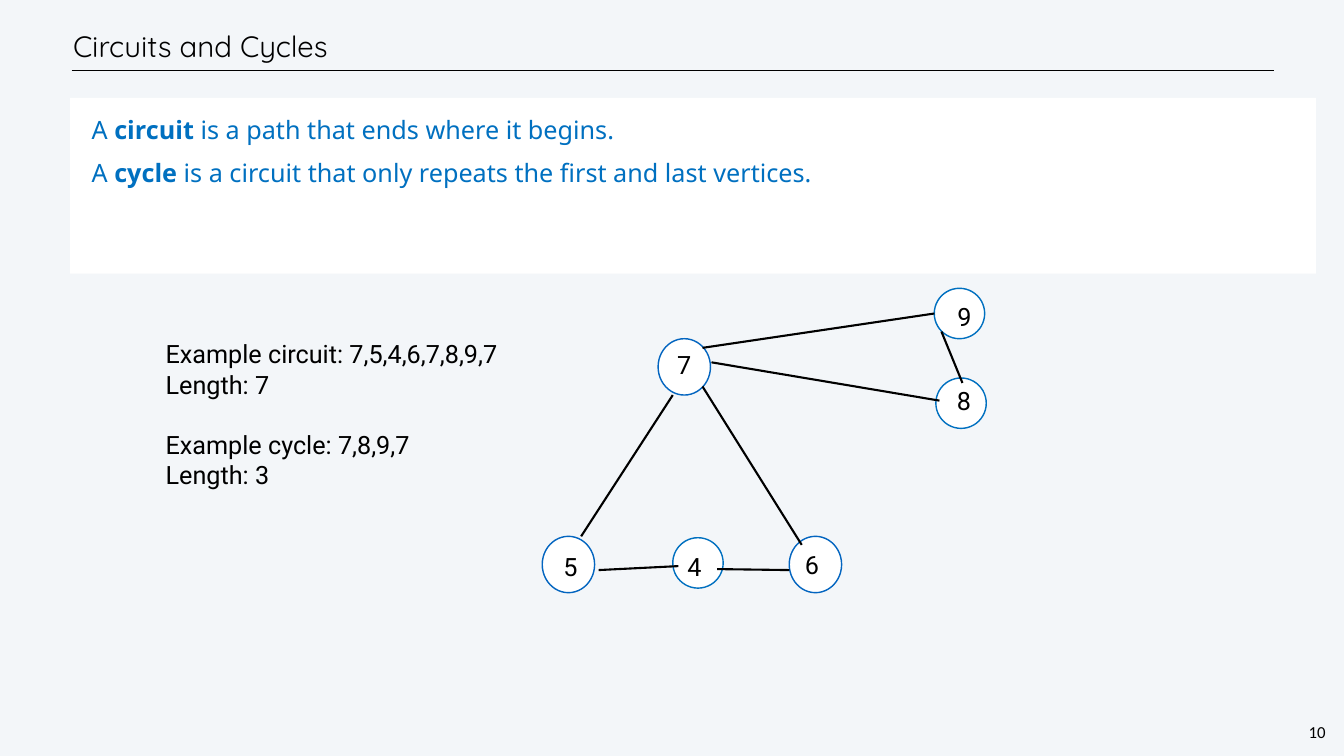
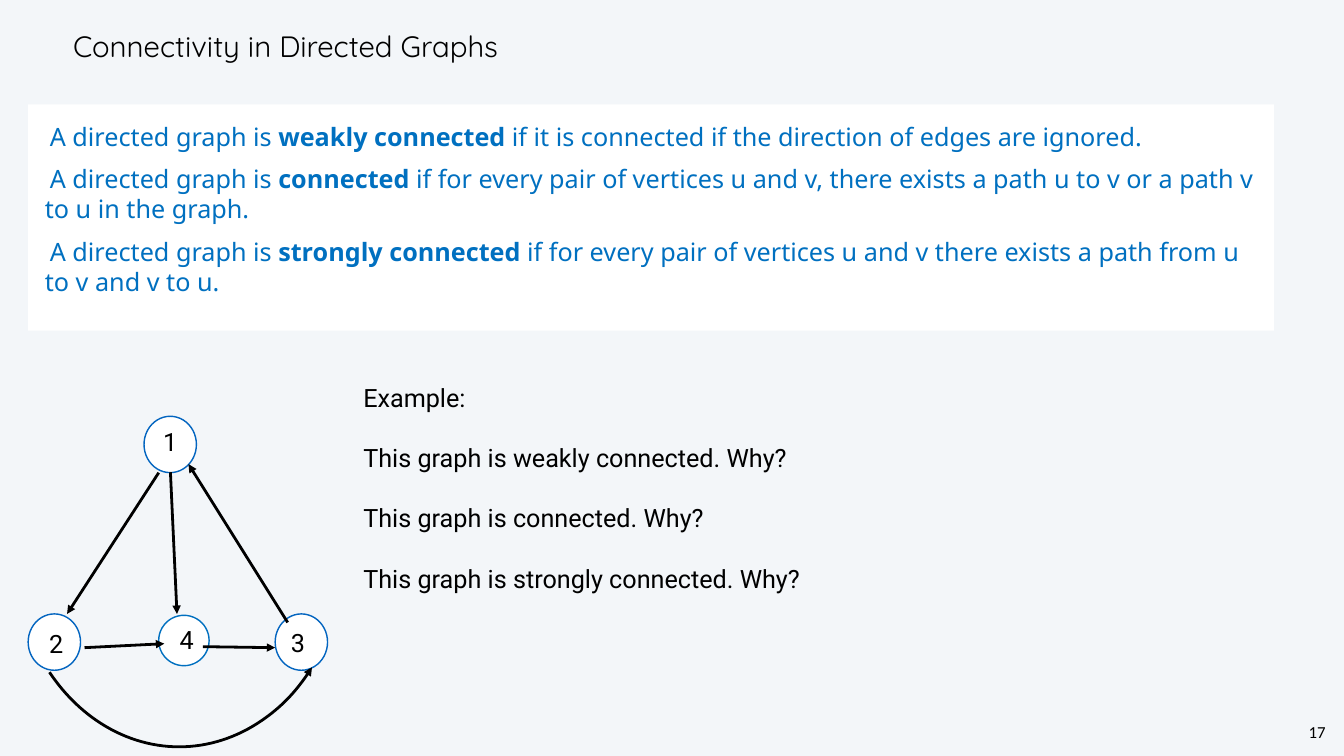
from dataclasses import dataclass

from lxml import etree
from pptx import Presentation
from pptx.dml.color import RGBColor
from pptx.enum.shapes import MSO_CONNECTOR, MSO_SHAPE
from pptx.enum.text import MSO_ANCHOR, MSO_AUTO_SIZE, PP_ALIGN
from pptx.oxml.ns import qn
from pptx.util import Cm, Pt

STRAIGHT = MSO_CONNECTOR.STRAIGHT
OVAL, ARC = MSO_SHAPE.OVAL, MSO_SHAPE.ARC
TOP, MIDDLE = MSO_ANCHOR.TOP, MSO_ANCHOR.MIDDLE
NO_FIT, GROW = MSO_AUTO_SIZE.NONE, MSO_AUTO_SIZE.SHAPE_TO_FIT_TEXT
LEFT, CENTER = PP_ALIGN.LEFT, PP_ALIGN.CENTER

# Shared look
PAPER, WHITE, BLACK = "F3F6F9", "FFFFFF", "000000"
BLUE, RING_BLUE = "0070C0", "0365C0"
TITLE_FONT, BODY_FONT, TEXT_FONT, NUMBER_FONT = "Quicksand", "Noto Sans", "Roboto", "Calibri"
TEXT_SIZE = 36
BLANK_LINE = 43  # points between separate statements


@dataclass(frozen=True)
class Box:
    left: float
    top: float
    width: float
    height: float


@dataclass(frozen=True)
class Node:
    label: str
    left: float
    top: float
    label_dx: float
    label_dy: float
    width: float = 2.54
    height: float = 2.54
    ring: str = BLUE


@dataclass(frozen=True)
class Edge:
    x1: float
    y1: float
    x2: float
    y2: float


@dataclass(frozen=True)
class Span:
    text: str
    bold: bool = False


@dataclass(frozen=True)
class Line:
    text: str
    space_before: float = 0


TITLE_BOX = Box(3.53, 1.07, 57.45, 2.51)
NUMBER_BOX = Box(65.84, 36.3, 1.09, 1.19)

# Triangle edges, measured from the triangle's corner
TRIANGLE_EDGES = [
    Edge(6.58, 2.84, 1.96, 9.96),
    Edge(13.08, 10.39, 8.08, 2.41),
    Edge(2.84, 11.66, 6.86, 11.46),
    Edge(8.81, 11.61, 12.45, 11.66),
]


def color(value: str) -> RGBColor:
    return RGBColor.from_string(value)


def place(shape, box: Box) -> None:
    shape.left, shape.top = Cm(box.left), Cm(box.top)
    shape.width, shape.height = Cm(box.width), Cm(box.height)


def set_frame(shape, inset: float, anchor, fit, wrap: bool = True):
    frame = shape.text_frame
    frame.margin_left = frame.margin_right = Cm(inset)
    frame.margin_top = frame.margin_bottom = Cm(inset)
    frame.vertical_anchor = anchor
    frame.auto_size = fit
    frame.word_wrap = wrap
    return frame


def next_para(frame, index: int):
    return frame.paragraphs[0] if index == 0 else frame.add_paragraph()


def add_span(para, text: str, font: str, size: float, ink: str = BLACK, bold: bool = False) -> None:
    span = para.add_run()
    span.text = text
    span.font.name, span.font.size, span.font.bold = font, Pt(size), bold
    span.font.color.rgb = color(ink)


def add_text(page, box: Box, lines: list[Line], wrap: bool = True) -> None:
    shape = page.shapes.add_textbox(0, 0, 0, 0)
    place(shape, box)
    frame = set_frame(shape, 0.15, MIDDLE, GROW, wrap)
    for index, line in enumerate(lines):
        para = next_para(frame, index)
        para.space_before = Pt(line.space_before)
        add_span(para, line.text, TEXT_FONT, TEXT_SIZE)


def style_line(line, width: float, ink: str = BLACK, arrow: str = "") -> None:
    """Arrow is empty, "headEnd" or "tailEnd"."""
    line.width = Pt(width)
    line.color.rgb = color(ink)
    if arrow:
        etree.SubElement(line._get_or_add_ln(), qn(f"a:{arrow}"), type="triangle")


def add_edge(page, edge: Edge, width: float, arrow: str = "") -> None:
    connector = page.shapes.add_connector(
        STRAIGHT, Cm(edge.x1), Cm(edge.y1), Cm(edge.x2), Cm(edge.y2))
    style_line(connector.line, width, arrow=arrow)
    etree.SubElement(connector._element.spPr, qn("a:effectLst"))


def add_node(page, node: Node) -> None:
    circle = page.shapes.add_shape(OVAL, 0, 0, 0, 0)
    place(circle, Box(node.left, node.top, node.width, node.height))
    circle.shadow.inherit = False
    circle.fill.solid()
    circle.fill.fore_color.rgb = color(WHITE)
    style_line(circle.line, 2, node.ring)
    label_box = Box(node.left + node.label_dx, node.top + node.label_dy, 2.74, 1.83)
    add_text(page, label_box, [Line(node.label)])


def add_triangle(page, left: float, top: float, labels: str, middle_shift: tuple[float, float],
                 edge_width: float, arrow: str = "") -> None:
    """Labels name the top, left, right and middle vertices."""
    apex, west, east, middle = labels
    corners = [(apex, 5.84, 0, 0.81, 0.36), (west, 0, 9.96, 0.91, 0.58),
               (east, 12.45, 9.96, 0.64, 0.51)]
    for label, x, y, dx, dy in corners:
        add_node(page, Node(label, left + x, top + y, dx, dy, 2.64, 2.84, RING_BLUE))
    add_node(page, Node(middle, left + 6.58, top + 10.03, *middle_shift))
    for edge in TRIANGLE_EDGES:
        moved = Edge(left + edge.x1, top + edge.y1, left + edge.x2, top + edge.y2)
        add_edge(page, moved, edge_width, arrow)


def add_page(deck, title: str, number: int, body_box: Box, definitions: list[list[Span]]):
    page = deck.slides.add_slide(deck.slide_layouts[1])

    # Title
    heading = page.shapes.title
    place(heading, TITLE_BOX)
    para = set_frame(heading, 0.15, MIDDLE, NO_FIT).paragraphs[0]
    para.alignment, para.line_spacing, para.space_before = LEFT, Pt(50), Pt(3)
    add_span(para, title, TITLE_FONT, 42)

    # Definitions on a white panel
    body = page.placeholders[1]
    place(body, body_box)
    body.fill.solid()
    body.fill.fore_color.rgb = color(WHITE)
    frame = set_frame(body, 0.84, TOP, NO_FIT)
    for index, spans in enumerate(definitions):
        para = next_para(frame, index)
        para.alignment, para.line_spacing, para.space_before = LEFT, Pt(43), Pt(18)
        properties = para._p.get_or_add_pPr()
        properties.set("marL", "0")
        properties.set("indent", str(Cm(0.25)))
        etree.SubElement(properties, qn("a:buNone"))
        for span in spans:
            add_span(para, span.text, BODY_FONT, TEXT_SIZE, BLUE, span.bold)

    # Page number
    corner = page.shapes.add_textbox(0, 0, 0, 0)
    place(corner, NUMBER_BOX)
    para = set_frame(corner, 0.1, TOP, GROW, wrap=False).paragraphs[0]
    para.alignment, para.line_spacing = CENTER, Pt(28)
    add_span(para, str(number), NUMBER_FONT, 24)
    return page


def build_circuits(deck) -> None:
    page = add_page(deck, "Circuits and Cycles", 10, Box(3.53, 4.93, 62.79, 8.86), [
        [Span("A "), Span("circuit", True), Span(" is a path that ends where it begins.")],
        [Span("A "), Span("cycle", True),
         Span(" is a circuit that only repeats the first and last vertices.")],
    ])
    add_edge(page, Edge(3.61, 3.56, 64.19, 3.56), 1)
    add_text(page, Box(8.2, 16.89, 17.88, 7.98), [
        Line("Example circuit: 7,5,4,6,7,8,9,7"),
        Line("Length: 7"),
        Line("Example cycle: 7,8,9,7", BLANK_LINE),
        Line("Length: 3"),
    ], wrap=False)

    # Graph: triangle plus the loop through 8 and 9
    add_triangle(page, 27.33, 17.07, "7564", (0.58, 0.51), 3)
    add_node(page, Node("8", 47.17, 19.05, 0.91, 0.23))
    add_node(page, Node("9", 47.09, 14.53, 1.02, 0.48))
    for edge in (Edge(47.35, 20.19, 35.86, 18.26), Edge(47.09, 15.8, 35.41, 17.53),
                 Edge(47.45, 16.71, 48.51, 19.3)):
        add_edge(page, edge, 3)


def build_connectivity(deck) -> None:
    opening = Span("A directed graph is ")
    page = add_page(deck, "Connectivity in Directed Graphs", 17, Box(1.42, 5.26, 62.79, 11.4), [
        [opening, Span("weakly connected ", True),
         Span("if it is connected if the direction of edges are ignored.")],
        [opening, Span("connected", True),
         Span(" if for every pair of vertices u and v, there exists a path u to v"
              " or a path v to u in the graph.")],
        [opening, Span("strongly connected ", True),
         Span("if for every pair of vertices u and v there exists a path from u to v"
              " and v to u.")],
    ])

    # Directed graph
    add_triangle(page, 1.42, 20.98, "1234", (0.91, 0.3), 4, "tailEnd")
    add_edge(page, Edge(8.59, 23.8, 8.92, 30.94), 4, "tailEnd")
    arc = page.shapes.add_shape(ARC, 0, 0, 0, 0)
    place(arc, Box(0.66, 17.6, 16.74, 20.04))
    arc.adjustments[0], arc.adjustments[1] = 25.15, 81.74
    arc.shadow.inherit = False
    arc.fill.background()
    style_line(arc.line, 4, arrow="headEnd")

    # Questions
    claims = ("weakly connected", "connected", "strongly connected")
    questions = [Line(f"This graph is {claim}. Why?", BLANK_LINE) for claim in claims]
    add_text(page, Box(18.16, 19.05, 32.87, 11.05), [Line("Example:"), *questions])


def main() -> None:
    deck = Presentation()
    deck.slide_width, deck.slide_height = Cm(67.74), Cm(38.1)
    backdrop = deck.slide_master.background.fill
    backdrop.solid()
    backdrop.fore_color.rgb = color(PAPER)
    build_circuits(deck)
    build_connectivity(deck)
    deck.save("out.pptx")


if __name__ == "__main__":
    main()
